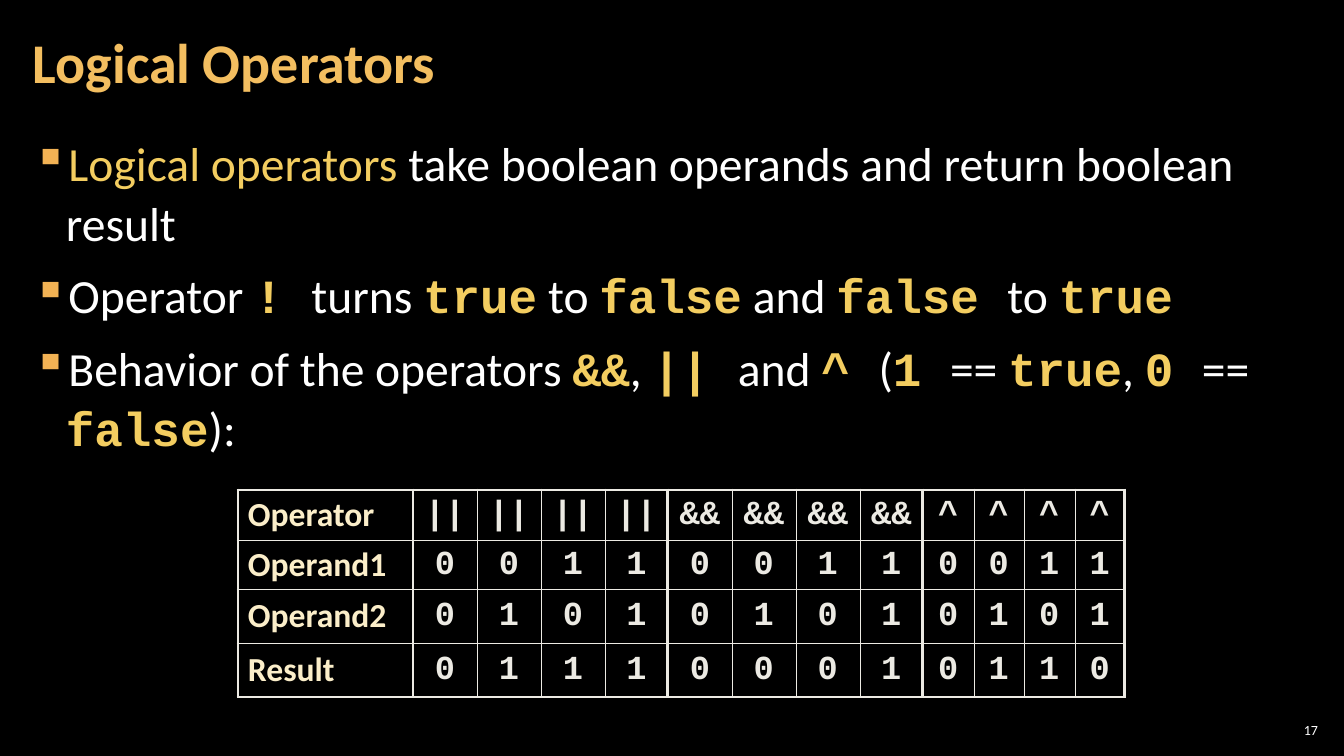
from lxml import etree
from pptx import Presentation
from pptx.dml.color import RGBColor
from pptx.enum.text import MSO_ANCHOR, PP_ALIGN
from pptx.oxml.ns import qn
from pptx.util import Pt

PX = 9071.43  # EMU per px
MIDDLE, TOP = MSO_ANCHOR.MIDDLE, MSO_ANCHOR.TOP
LEFT, CENTER, RIGHT = PP_ALIGN.LEFT, PP_ALIGN.CENTER, PP_ALIGN.RIGHT
SANS, MONO = "Calibri", "Courier New"
COLORS = {
    "back": "000000", "text": "FFFFFF", "title": "F3BE60", "key": "F3CD60",
    "bullet": "F2B254", "head": "FBEEC9", "cell": "ECEAE3",
}
THICK, THIN = 2.25, 0.25

# Backticks enclose the marked spans; the flag tells whether they are code.
POINTS = [
    (False, "`Logical operators `take boolean operands and return boolean result"),
    (True, "Operator `! `turns `true` to `false` and `false `to `true`"),
    (True, "Behavior of the operators `&&`, `|| `and `^ `(`1 `== `true`, `0 `== `false`):"),
]
OPERATORS = {
    "||": lambda a, b: a | b,
    "&&": lambda a, b: a & b,
    "^": lambda a, b: a ^ b,
}
BITS = [(0, 0), (0, 1), (1, 0), (1, 1)]
WIDTHS = [175] + [64, 64, 64, 63] * 2 + [51, 50] * 2
HEIGHTS = [50, 49, 54, 54]


def px(n):
    return round(n * PX)


def style(run, size, color, font=SANS, bold=False):
    run.font.size = Pt(size)
    run.font.name = font
    run.font.bold = bold
    run.font.color.rgb = RGBColor.from_string(COLORS[color])


def inset(item, side, edge):
    """Set the margins of a text frame or a cell."""
    item.margin_left = item.margin_right = px(side)
    item.margin_top = item.margin_bottom = px(edge)


def add_frame(slide, box, side, anchor):
    frame = slide.shapes.add_textbox(*map(px, box)).text_frame
    frame.word_wrap = True
    frame.vertical_anchor = anchor
    inset(frame, side, 4)
    return frame


def add_line(slide, box, text, side, align, size, color, bold):
    """Add a single line of text, centred in the height of its box."""
    par = add_frame(slide, box, side, MIDDLE).paragraphs[0]
    par.text = text
    par.alignment = align
    par.line_spacing = 0.9
    style(par.runs[0], size, color, bold=bold)


def set_bullet(par):
    props = par._p.get_or_add_pPr()
    props.set("marL", str(px(33)))
    props.set("indent", str(-px(33)))
    tint = etree.SubElement(props, qn("a:buClr"))
    etree.SubElement(tint, qn("a:srgbClr"), val=COLORS["bullet"])
    etree.SubElement(props, qn("a:buChar"), char="▪")


def add_points(slide, box):
    frame = add_frame(slide, box, 12, TOP)
    for i, (code, text) in enumerate(POINTS):
        par = frame.add_paragraph() if i else frame.paragraphs[0]
        par.line_spacing = 1.05
        par.space_before, par.space_after = Pt(3), Pt(6)
        set_bullet(par)
        for j, part in enumerate(text.split("`")):
            if not part:
                continue
            run = par.add_run()
            run.text = part
            if j % 2:
                style(run, 34, "key", MONO if code else SANS, code)
            else:
                style(run, 34, "text")


def set_borders(cell, row, col):
    """Frame the table and each group of four columns with thick lines."""
    props = cell._tc.get_or_add_tcPr()
    heavy = {
        "L": col == 0 or col % 4 == 1,
        "R": col % 4 == 0,
        "T": row == 0,
        "B": row == len(HEIGHTS) - 1,
    }
    for edge, thick in heavy.items():
        width = Pt(THICK if thick else THIN)
        line = etree.SubElement(props, qn("a:ln" + edge), w=str(width))
        fill = etree.SubElement(line, qn("a:solidFill"))
        etree.SubElement(fill, qn("a:srgbClr"), val=COLORS["cell"])


def fill_cell(cell, row, col, text):
    set_borders(cell, row, col)
    cell.fill.background()
    cell.vertical_anchor = MIDDLE
    inset(cell, 4 if col else 10, 4 if col else 5)
    par = cell.text_frame.paragraphs[0]
    par.text = text
    par.line_spacing = 0.95
    par.alignment = CENTER if col else LEFT
    if col:
        style(par.runs[0], 24, "cell", MONO, True)
    else:
        style(par.runs[0], 24, "head", SANS, True)


def add_truth(slide, left, top):
    cols = [("Operator", "Operand1", "Operand2", "Result")]
    for name, rule in OPERATORS.items():
        cols += [(name, str(a), str(b), str(rule(a, b))) for a, b in BITS]
    box = (left, top, sum(WIDTHS), sum(HEIGHTS))
    table = slide.shapes.add_table(len(HEIGHTS), len(cols), *map(px, box)).table
    table.first_row = table.horz_banding = False
    for row, high in zip(table.rows, HEIGHTS):
        row.height = px(high)
    for c, (texts, wide) in enumerate(zip(cols, WIDTHS)):
        table.columns[c].width = px(wide)
        for r, text in enumerate(texts):
            fill_cell(table.cell(r, c), r, c, text)


def main():
    deck = Presentation()
    deck.slide_width, deck.slide_height = px(1344), px(756)
    slide = deck.slides.add_slide(deck.slide_layouts[6])
    back = slide.background.fill
    back.solid()
    back.fore_color.rgb = RGBColor.from_string(COLORS["back"])
    add_line(slide, (1275, 720, 47, 21), "17", 4, RIGHT, 10, "text", False)
    add_points(slide, (21, 127, 1301, 614))
    add_line(slide, (21, 4, 1055, 122), "Logical Operators", 12, LEFT, 40, "title", True)
    add_truth(slide, 238, 490)
    deck.save("out.pptx")


if __name__ == "__main__":
    main()
